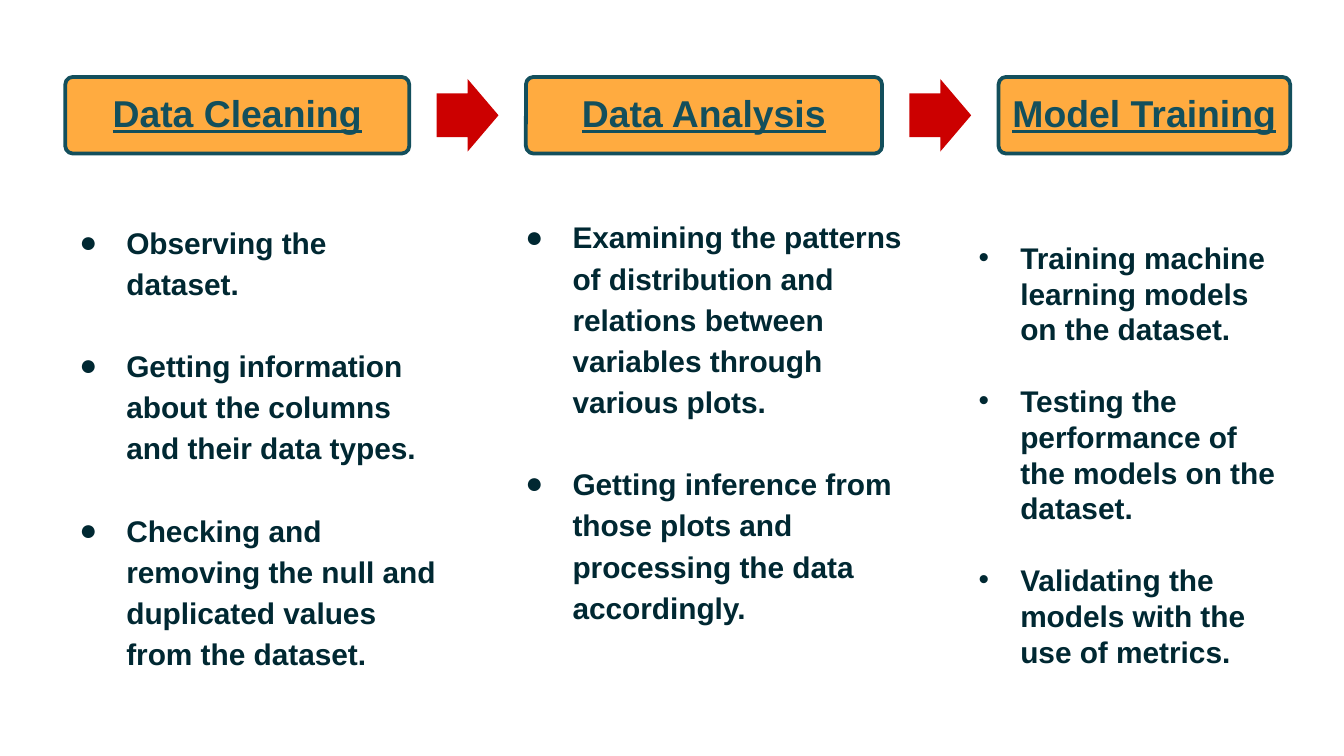
from collections import namedtuple
from lxml import etree
from pptx import Presentation
from pptx.dml.color import RGBColor
from pptx.enum.shapes import MSO_SHAPE
from pptx.enum.text import MSO_ANCHOR, MSO_AUTO_SIZE, PP_ALIGN
from pptx.oxml.ns import qn
from pptx.util import Inches, Pt

ROUNDED, ARROW = MSO_SHAPE.ROUNDED_RECTANGLE, MSO_SHAPE.RIGHT_ARROW
MIDDLE, TOP = MSO_ANCHOR.MIDDLE, MSO_ANCHOR.TOP
CENTER, LEFT = PP_ALIGN.CENTER, PP_ALIGN.LEFT
NO_AUTOFIT = MSO_AUTO_SIZE.NONE
FONT = "Arial"
INK, TEAL, ORANGE, RED = "002832", "134F5C", "FFAB40", "CC0000"
SLIDE_WIDTH = Inches(10)
SLIDE_HEIGHT = SLIDE_WIDTH * 9 // 16
UNIT = SLIDE_WIDTH / 100
HEADER_TOP, HEADER_HEIGHT = 5.73, 5.7
ARROW_WIDTH, ARROW_HEIGHT = 4.6, 5.4

Box = namedtuple("Box", "left top width height")
ListStyle = namedtuple("ListStyle", "bullet indent spacing gap anchor inset")

STEPS = [
    ("Data Cleaning", 4.86, 25.6),
    ("Data Analysis", 39.13, 26.5),
    ("Model Training", 74.3, 21.7),
]
CLEANING = [
    "Observing the dataset.",
    "Getting information about the columns and their data types.",
    "Checking and removing the null and duplicated values from the dataset.",
]
ANALYSIS = [
    "Examining the patterns of distribution and relations between variables through various plots.",
    "Getting inference from those plots and processing the data accordingly.",
]
TRAINING = [
    "Training machine learning models on the dataset.",
    "Testing the performance of the models on the dataset.",
    "Validating the models with the use of metrics.",
]


def color(value):
    """Turn a hex string into a colour."""
    return RGBColor.from_string(value)


def extent(box):
    """Convert a box in grid units to slide lengths."""
    return [round(length * UNIT) for length in box]


def style_font(font, size, value):
    """Apply the bold slide font."""
    font.name, font.size, font.bold = FONT, Pt(size), True
    font.color.rgb = color(value)


def add_block(page, preset, box, fill):
    """Draw a filled preset shape without line or shadow."""
    block = page.shapes.add_shape(preset, *extent(box))
    block.shadow.inherit = False
    block.fill.solid()
    block.fill.fore_color.rgb = color(fill)
    block.line.fill.background()
    return block


def add_header(page, box, label):
    """Draw one step of the process with its underlined name."""
    header = add_block(page, ROUNDED, box, ORANGE)
    header.adjustments[0] = 0.1
    header.line.color.rgb = color(TEAL)
    header.line.width = Pt(2)
    frame = header.text_frame
    frame.text = label
    frame.word_wrap = True
    frame.vertical_anchor = MIDDLE
    frame.margin_left = frame.margin_right = Inches(0.05)
    para = frame.paragraphs[0]
    para.alignment = CENTER
    para.line_spacing = 0.9
    style_font(para.runs[0].font, 20, TEAL)
    para.runs[0].font.underline = True


def add_arrow(page, box):
    """Centre an arrow in the gap between two steps."""
    left = box.left + (box.width - ARROW_WIDTH) / 2
    top = box.top + (box.height - ARROW_HEIGHT) / 2
    arrow = add_block(page, ARROW, Box(left, top, ARROW_WIDTH, ARROW_HEIGHT), RED)
    arrow.adjustments[0], arrow.adjustments[1] = 0.6, 0.5


def add_process(page):
    """Lay out the row of steps with an arrow in each gap."""
    for label, left, width in STEPS:
        add_header(page, Box(left, HEADER_TOP, width, HEADER_HEIGHT), label)
    for (_, left, width), (_, following, _) in zip(STEPS, STEPS[1:]):
        end = left + width
        add_arrow(page, Box(end, HEADER_TOP, following - end, HEADER_HEIGHT))


def add_bullet(para, style):
    """Give a paragraph a hanging indent and a coloured bullet."""
    left, hanging = style.indent
    props = para._p.get_or_add_pPr()
    props.set("marL", str(Inches(left)))
    props.set("indent", str(-Inches(hanging)))
    tint = etree.SubElement(props, qn("a:buClr"))
    etree.SubElement(tint, qn("a:srgbClr"), val=INK)
    etree.SubElement(props, qn("a:buFont"), typeface=FONT)
    etree.SubElement(props, qn("a:buChar"), char=style.bullet)


def fill_list(shape, box, items, style):
    """Place a text shape and fill it with bulleted items."""
    shape.left, shape.top, shape.width, shape.height = extent(box)
    frame = shape.text_frame
    frame.text = "\n".join(items)
    frame.word_wrap = True
    frame.auto_size = NO_AUTOFIT
    frame.vertical_anchor = style.anchor
    frame.margin_left = frame.margin_right = Inches(0.1)
    frame.margin_top, frame.margin_bottom = Inches(style.inset), Inches(0.1)
    for index, para in enumerate(frame.paragraphs):
        add_bullet(para, style)
        para.alignment = LEFT
        para.line_spacing = style.spacing
        para.space_before = Pt(style.gap if index else 0)
        para.space_after = Pt(0)
        style_font(para.runs[0].font, 16, INK)


def main():
    """Build the deck and save it."""
    deck = Presentation()
    deck.slide_width, deck.slide_height = SLIDE_WIDTH, SLIDE_HEIGHT
    page = deck.slides.add_slide(deck.slide_layouts[3])
    title, first, second = page.placeholders
    title.element.getparent().remove(title.element)
    airy = ListStyle("●", (0.5, 0.35), 1.15, 22, TOP, 0.37)
    compact = ListStyle("•", (0.31, 0.31), 1.0, 19.2, MIDDLE, 0.1)
    fill_list(first, Box(3.4, 12.6, 30.8, 37.4), CLEANING, airy)
    fill_list(second, Box(36.6, 12.6, 31.9, 37.4), ANALYSIS, airy._replace(inset=0.33))
    add_process(page)
    training_box = Box(71.83, 16.2, 24.8, 35.2)
    training = page.shapes.add_textbox(*extent(training_box))
    fill_list(training, training_box, TRAINING, compact)
    deck.save("out.pptx")


if __name__ == "__main__":
    main()
